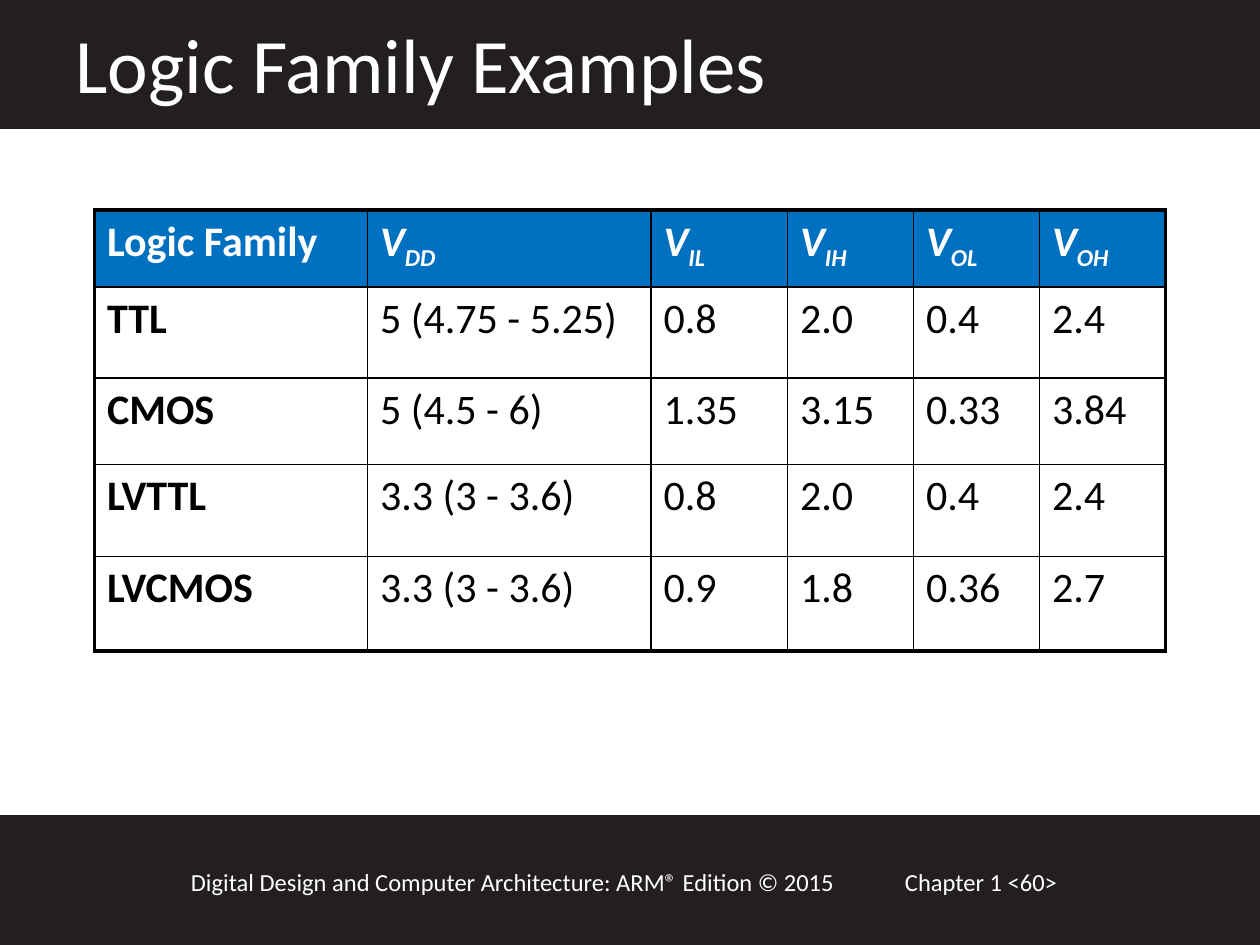
from pptx import Presentation
from pptx.dml.color import RGBColor as RGB
from pptx.enum.shapes import MSO_SHAPE as SHAPE
from pptx.enum.text import MSO_ANCHOR as ANCHOR, MSO_AUTO_SIZE as AUTO, PP_ALIGN as ALIGN
from pptx.oxml.ns import qn
from pptx.util import Pt
from lxml.etree import SubElement

COLORS = {"bar": "231F20", "head": "0070C0", "white": "FFFFFF", "black": "000000"}
HEADINGS = [("Logic Family", ""), ("V", "DD"), ("V", "IL"), ("V", "IH"), ("V", "OL"), ("V", "OH")]
FAMILIES = [
    ("TTL", "5 (4.75 - 5.25)", "0.8", "2.0", "0.4", "2.4"),
    ("CMOS", "5 (4.5 - 6)", "1.35", "3.15", "0.33", "3.84"),
    ("LVTTL", "3.3 (3 - 3.6)", "0.8", "2.0", "0.4", "2.4"),
    ("LVCMOS", "3.3 (3 - 3.6)", "0.9", "1.8", "0.36", "2.7"),
]
COLS = [156, 162, 78, 72, 72, 72]
ROWS = [44, 52, 49.5, 52.5, 54]


class Deck:
    font = "Calibri"
    outer, inner = 2.25, 1

    def __init__(self, width, height):
        self.prs = Presentation()
        self.prs.slide_width, self.prs.slide_height = Pt(width), Pt(height)
        self.s = self.prs.slides.add_slide(self.prs.slide_layouts[5])

    def color(self, name):
        return RGB.from_string(COLORS[name])

    def run(self, p, text, size, color, **fmt):
        r = p.add_run()
        r.text = text
        for key, value in {"name": self.font, "size": Pt(size), **fmt}.items():
            setattr(r.font, key, value)
        r.font.color.rgb = self.color(color)
        return r

    def bar(self, top, height):
        sp = self.s.shapes.add_shape(SHAPE.RECTANGLE, 0, Pt(top), self.prs.slide_width, Pt(height))
        sp.shadow.inherit = False
        sp.fill.solid()
        sp.fill.fore_color.rgb = sp.line.color.rgb = self.color("bar")
        sp.line.width = Pt(2)

    def frame(self, tf, text, size, auto):
        fmt = {"word_wrap": True, "auto_size": auto, "vertical_anchor": ANCHOR.TOP}
        for key, value in fmt.items():
            setattr(tf, key, value)
        p = tf.paragraphs[0]
        p.alignment = ALIGN.LEFT
        self.run(p, text, size, "white")

    def text(self, left, top, width, height, text, size):
        sp = self.s.shapes.add_textbox(Pt(left), Pt(top), Pt(width), Pt(height))
        self.frame(sp.text_frame, text, size, AUTO.SHAPE_TO_FIT_TEXT)

    def title(self, left, top, width, height, text):
        sp = self.s.shapes.title
        box = {"left": left, "top": top, "width": width, "height": height}
        for key, value in box.items():
            setattr(sp, key, Pt(value))
        self.frame(sp.text_frame, text, 44, AUTO.NONE)
        self.s.shapes._spTree.append(sp._element)

    def borders(self, cell, edges):
        tc_pr = cell._tc.get_or_add_tcPr()
        for side, is_outer in edges.items():
            width = Pt(self.outer if is_outer else self.inner)
            ln = SubElement(tc_pr, qn(f"a:ln{side}"), w=str(width))
            fill = SubElement(ln, qn("a:solidFill"))
            SubElement(fill, qn("a:srgbClr"), val=COLORS["black"])

    def heading(self, cell, text, sub):
        p = cell.text_frame.paragraphs[0]
        self.run(p, text, 24, "white", bold=True, italic=bool(sub))
        if sub:
            r = self.run(p, sub, 24, "white", bold=True, italic=True)
            r.font._element.set("baseline", "-25000")
        cell.fill.solid()
        cell.fill.fore_color.rgb = self.color("head")

    def table(self, left, top, cols, rows, headings, body):
        sp = self.s.shapes.add_table(len(rows), len(cols), Pt(left), Pt(top), Pt(sum(cols)), Pt(sum(rows)))
        tbl = sp.table
        tbl.horz_banding = False
        for col, width in zip(tbl.columns, cols):
            col.width = Pt(width)
        for row, height in zip(tbl.rows, rows):
            row.height = Pt(height)
        for i in range(len(rows)):
            for j in range(len(cols)):
                cell = tbl.cell(i, j)
                self.borders(cell, {"L": j == 0, "R": j == len(cols) - 1,
                                    "T": i == 0, "B": i == len(rows) - 1})
                if i == 0:
                    self.heading(cell, *headings[j])
                else:
                    self.run(cell.text_frame.paragraphs[0], body[i - 1][j], 24, "black", bold=j == 0)
                    cell.fill.background()


def main():
    deck = Deck(720, 540)
    deck.bar(466.5, 73.5)
    deck.bar(0, 72.5)
    deck.text(510, 492, 156, 24.5, "Chapter 1 <60>", 14)
    deck.text(102, 492, 414, 24.5, "Digital Design and Computer Architecture: ARM® Edition © 2015", 14)
    deck.table(54, 120, COLS, ROWS, HEADINGS, FAMILIES)
    deck.title(36, 6, 624, 60.5, "Logic Family Examples")
    deck.prs.save("out.pptx")


if __name__ == "__main__":
    main()
